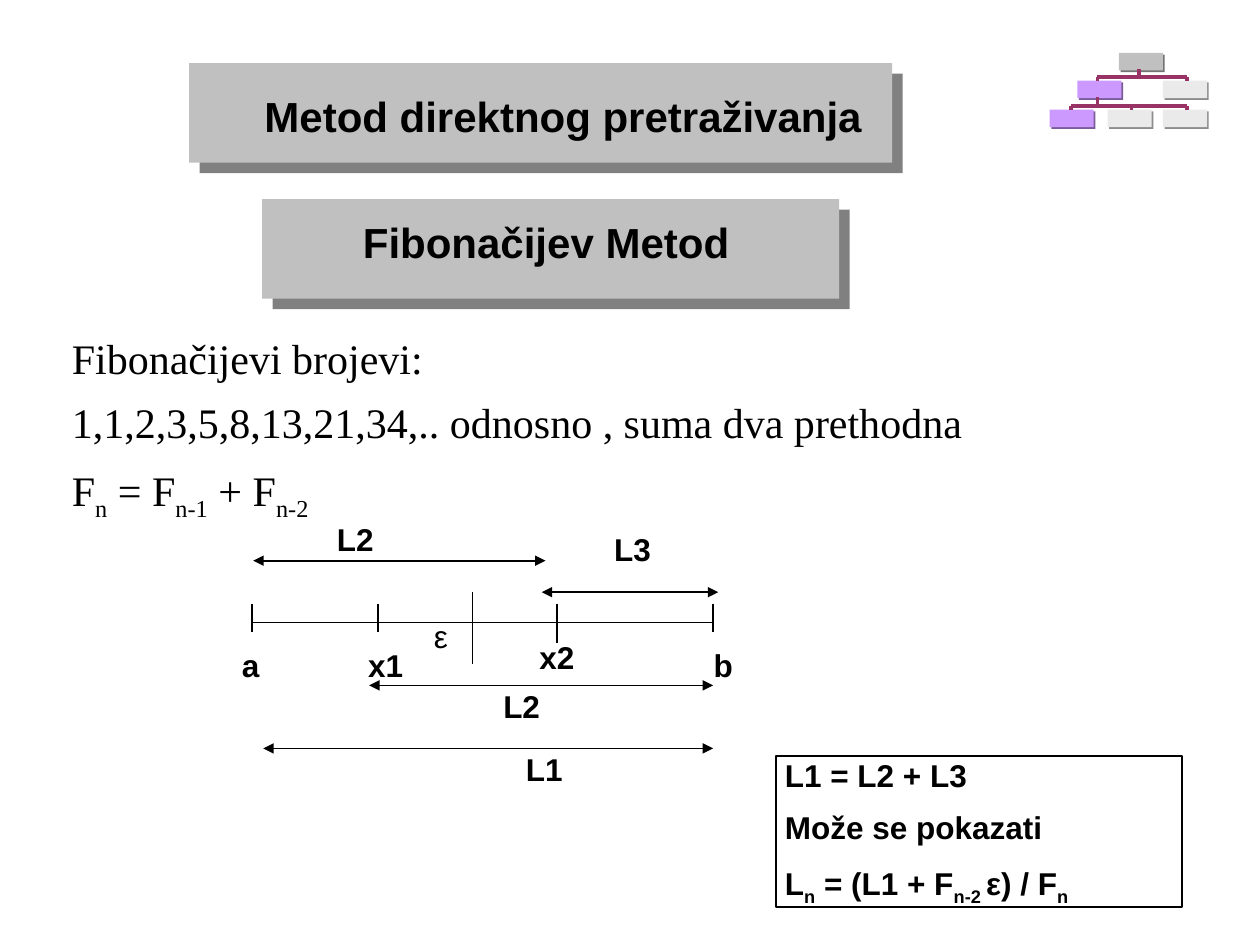
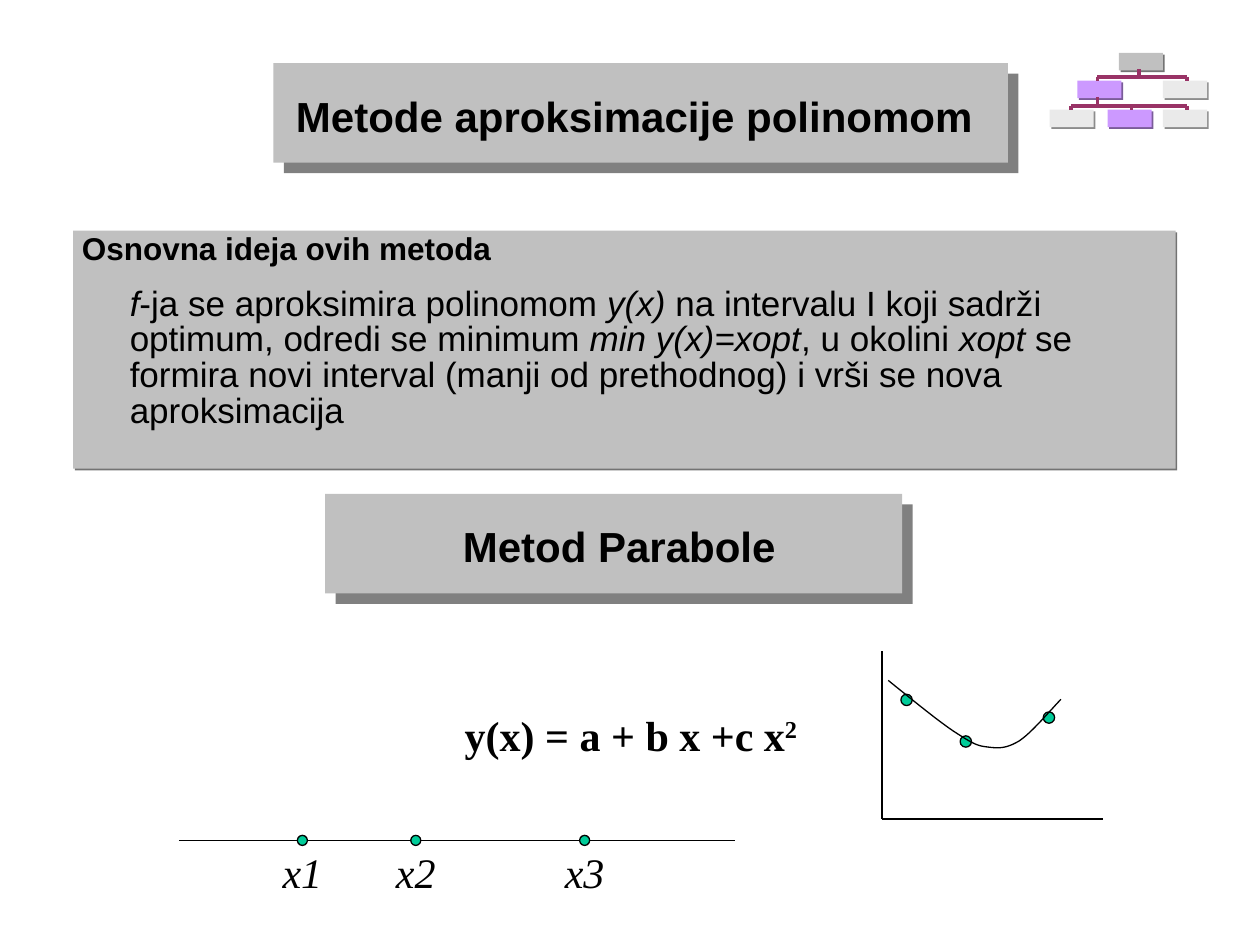
from dataclasses import dataclass
from itertools import chain
from typing import Optional

from lxml.etree import SubElement
from pptx import Presentation
from pptx.dml.color import RGBColor
from pptx.enum.shapes import MSO_CONNECTOR, MSO_SHAPE
from pptx.enum.text import MSO_ANCHOR, PP_ALIGN
from pptx.oxml.ns import qn
from pptx.util import Emu, Pt

PX = 9144  # one px is a hundredth of an inch
COLORS = {
    "ink": "000000",
    "band": "C0C0C0",
    "band_shadow": "808080",
    "panel_shadow": "737373",
    "active": "CC99FF",
    "active_shadow": "7A5C99",
    "idle": "EAEAEA",
    "idle_shadow": "8C8C8C",
    "branch": "993366",
    "dot": "00CC99",
}
SANS, SERIF = "Arial", "Times New Roman"
LEFT, CENTER = PP_ALIGN.LEFT, PP_ALIGN.CENTER
WIDE_INSETS, TIGHT_INSETS = (10, 5), (7, 3)


@dataclass(frozen=True)
class Box:
    left: int
    top: int
    width: int
    height: int


@dataclass(frozen=True)
class Style:
    size: int
    font: str = SANS
    bold: bool = False
    italic: bool = False
    align: PP_ALIGN = LEFT
    spacing: float = 1.0
    before: float = 0
    indent: int = 0


@dataclass(frozen=True)
class Span:
    text: str
    baseline: int = 0
    italic: Optional[bool] = None


@dataclass(frozen=True)
class Para:
    spans: tuple[Span, ...]
    style: Style


@dataclass(frozen=True)
class Title:
    text: str
    band: Box
    text_box: Box
    align: PP_ALIGN = LEFT


@dataclass(frozen=True)
class Label:
    text: str
    center: int
    top: int
    bold: bool = True


@dataclass(frozen=True)
class Branch:
    stem: int
    top: int
    bar: int
    bottom: int
    children: tuple[int, ...]


@dataclass(frozen=True)
class Segment:
    start: tuple[int, int]
    end: tuple[int, int]


TREE_NODES = ((888, 42), (855, 64), (923, 64), (833, 87), (879, 87), (923, 87))
TREE_BRANCHES = (
    Branch(904, 55, 61, 64, (871, 942)),
    Branch(871, 77, 84, 87, (850, 898, 942)),
)

SEARCH_TITLES = (
    Title("Metod direktnog pretraživanja", Box(150, 50, 558, 79), Box(200, 67, 525, 50)),
    Title("Fibonačijev Metod", Box(208, 158, 458, 79), Box(225, 167, 417, 50), CENTER),
)
POLYNOMIAL_TITLES = (
    Title("Metode aproksimacije polinomom", Box(217, 50, 583, 79), Box(225, 67, 592, 50)),
    Title("Metod Parabole", Box(258, 392, 458, 79), Box(283, 408, 417, 50), CENTER),
)

INTERVAL_AXIS = Segment((201, 494), (566, 494))
INTERVAL_TICKS = ((200, 479, 502), (300, 479, 502), (375, 470, 527),
                  (442, 479, 510), (566, 479, 502))
INTERVAL_SPANS = (
    Segment((430, 470), (570, 470)),
    Segment((209, 594), (566, 594)),
    Segment((201, 445), (433, 445)),
    Segment((293, 544), (566, 544)),
)
INTERVAL_LABELS = (
    Label("a", 199, 514), Label("x1", 306, 514), Label("x2", 442, 508),
    Label("b", 574, 514), Label("L2", 282, 414), Label("L3", 502, 422),
    Label("L2", 414, 547), Label("L1", 432, 597), Label("ε", 350, 491, bold=False),
)

CURVE_START = (705, 540)
CURVE_ARCS = (
    ((726, 557), (748, 575), (761, 583)),
    ((775, 592), (777, 592), (785, 593)),
    ((793, 594), (799, 594), (809, 588)),
    ((818, 582), (830, 568), (842, 555)),
)
CURVE_DOTS = ((719, 555), (766, 588), (832, 569))
POINT_LINE_Y = 667
POINTS = (("x1", 240), ("x2", 330), ("x3", 464))


def rgb(name: str) -> RGBColor:
    return RGBColor.from_string(COLORS[name])


def place(box: Box) -> tuple[Emu, ...]:
    return tuple(Emu(n * PX) for n in (box.left, box.top, box.width, box.height))


def add_shape(shapes, kind: MSO_SHAPE, box: Box, fill: Optional[str] = None,
              line: Optional[float] = None):
    shape = shapes.add_shape(kind, *place(box))
    shape.shadow.inherit = False
    if fill:
        shape.fill.solid()
        shape.fill.fore_color.rgb = rgb(fill)
    else:
        shape.fill.background()
    if line:
        shape.line.color.rgb = rgb("ink")
        shape.line.width = Pt(line)
    else:
        shape.line.fill.background()
    return shape


def add_shadowed_box(shapes, box: Box, fill: str, shadow: str, distance: float):
    """Draw a rectangle with a hard shadow to the lower right."""
    shape = add_shape(shapes, MSO_SHAPE.RECTANGLE, box, fill)
    effects = shape._element.spPr.find(qn("a:effectLst"))
    outer = SubElement(effects, qn("a:outerShdw"), blurRad="0", dist=str(int(Pt(distance))),
                       dir="2700000", algn="ctr", rotWithShape="0")
    SubElement(outer, qn("a:srgbClr"), val=COLORS[shadow])
    return shape


def add_line(shapes, segment: Segment, width: float = 1, color: str = "ink",
             arrows: bool = False) -> None:
    ends = (Emu(n * PX) for n in chain(segment.start, segment.end))
    connector = shapes.add_connector(MSO_CONNECTOR.STRAIGHT, *ends)
    connector.line.color.rgb = rgb(color)
    connector.line.width = Pt(width)
    if arrows:
        for tag in ("a:headEnd", "a:tailEnd"):
            SubElement(connector.line._get_or_add_ln(), qn(tag), type="triangle")
    SubElement(connector._element.spPr, qn("a:effectLst"))


def write(shape, paras: list[Para], insets: tuple[int, int], wrap: bool = True) -> None:
    frame = shape.text_frame
    frame.word_wrap = wrap
    frame.vertical_anchor = MSO_ANCHOR.TOP
    frame.margin_left = frame.margin_right = Emu(insets[0] * PX)
    frame.margin_top = frame.margin_bottom = Emu(insets[1] * PX)
    for index, para in enumerate(paras):
        style = para.style
        paragraph = frame.add_paragraph() if index else frame.paragraphs[0]
        paragraph.alignment = style.align
        paragraph.line_spacing = style.spacing
        paragraph.space_before = Pt(style.before)
        if style.indent:
            paragraph._p.get_or_add_pPr().set("marL", str(style.indent * PX))
        for span in para.spans:
            run = paragraph.add_run()
            run.text = span.text
            run.font.name = style.font
            run.font.size = Pt(style.size)
            run.font.bold = style.bold
            run.font.italic = style.italic if span.italic is None else span.italic
            run.font.color.rgb = rgb("ink")
            if span.baseline:
                run._r.get_or_add_rPr().set("baseline", str(span.baseline * 1000))


def add_text(shapes, box: Box, paras: list[Para], insets: tuple[int, int] = WIDE_INSETS,
             wrap: bool = True) -> None:
    write(shapes.add_textbox(*place(box)), paras, insets, wrap)


def plain(text: str, style: Style) -> Para:
    return Para((Span(text),), style)


def indexed(style: Style, *texts: str) -> Para:
    """Alternate normal and subscript spans."""
    return Para(tuple(Span(text, -25 * (i % 2)) for i, text in enumerate(texts)), style)


def add_title(shapes, title: Title) -> None:
    add_shadowed_box(shapes, title.band, "band", "band_shadow", 8.5)
    style = Style(24, bold=True, align=title.align, before=15)
    add_text(shapes, title.text_box, [plain(title.text, style)])


def add_tree(page, active: set[int]) -> None:
    """Draw the small method tree, with the active nodes highlighted."""
    shapes = page.shapes.add_group_shape().shapes
    for index, (left, top) in enumerate(TREE_NODES):
        fill, shadow = "idle", "idle_shadow"
        if index == 0:
            fill, shadow = "band", "panel_shadow"
        elif index in active:
            fill, shadow = "active", "active_shadow"
        add_shadowed_box(shapes, Box(left, top, 35, 14), fill, shadow, 1.4)
    for branch in TREE_BRANCHES:
        bar = Segment((branch.children[0], branch.bar), (branch.children[-1], branch.bar))
        stem = Segment((branch.stem, branch.top), (branch.stem, branch.bar))
        drops = (Segment((x, branch.bar), (x, branch.bottom)) for x in branch.children)
        for segment in (bar, stem, *drops):
            add_line(shapes, segment, 2, "branch")


def add_dot(shapes, x: int, y: int, size: int) -> None:
    box = Box(x - size // 2, y - size // 2, size, size)
    add_shape(shapes, MSO_SHAPE.OVAL, box, "dot", 0.75)


def curve_points(steps: int = 10) -> list[tuple[int, int]]:
    """Return points along the cubic arcs, in EMU."""
    points, start = [], CURVE_START
    for first, second, end in CURVE_ARCS:
        for t in (step / steps for step in range(1, steps + 1)):
            u = 1 - t
            points.append(tuple(
                round(PX * (u**3 * a + 3 * u * u * t * b + 3 * u * t * t * c + t**3 * d))
                for a, b, c, d in zip(start, first, second, end)))
        start = end
    return points


def add_parabola(page) -> None:
    shapes = page.shapes.add_group_shape().shapes
    add_line(shapes, Segment((700, 517), (700, 650)), 0.75)
    add_line(shapes, Segment((700, 650), (875, 650)), 0.75)
    for x, y in CURVE_DOTS:
        add_dot(shapes, x, y, 9)
    builder = shapes.build_freeform(*(n * PX for n in CURVE_START))
    builder.add_line_segments(curve_points(), close=False)
    curve = builder.convert_to_shape()
    curve.shadow.inherit = False
    curve.fill.background()
    curve.line.color.rgb = rgb("ink")
    curve.line.width = Pt(0.75)


def add_interval(shapes) -> None:
    add_line(shapes, INTERVAL_AXIS)
    for x, top, bottom in INTERVAL_TICKS:
        add_line(shapes, Segment((x, top), (x, bottom)))
    for segment in INTERVAL_SPANS:
        add_line(shapes, segment, arrows=True)
    for label in INTERVAL_LABELS:
        style = Style(18, bold=label.bold, align=CENTER, spacing=0.85)
        add_text(shapes, Box(label.center - 22, label.top, 44, 31),
                 [plain(label.text, style)], TIGHT_INSETS, wrap=False)


def build_search_page(page) -> None:
    shapes = page.shapes
    add_tree(page, {1, 3})
    for title in SEARCH_TITLES:
        add_title(shapes, title)
    body = Style(24, SERIF, spacing=0.85, before=12)
    add_text(shapes, Box(50, 267, 892, 146), [
        plain("Fibonačijevi brojevi:", body),
        plain("1,1,2,3,5,8,13,21,34,.. odnosno , suma dva prethodna", body),
        indexed(body, "F", "n", " = F", "n-1", " + F", "n-2"),
    ], TIGHT_INSETS)
    add_interval(shapes)
    result = Style(18, bold=True, spacing=0.91, before=10.3)
    frame = add_shape(shapes, MSO_SHAPE.RECTANGLE, Box(616, 600, 322, 120), line=1)
    write(frame, [
        plain("L1 = L2 + L3", result),
        plain("Može se pokazati", result),
        indexed(result, "L", "n", " = (L1 + F", "n-2 ", "ε) / F", "n"),
    ], TIGHT_INSETS)


def build_polynomial_page(page) -> None:
    shapes = page.shapes
    add_tree(page, {1, 4})
    for title in POLYNOMIAL_TITLES:
        add_title(shapes, title)
    idea = ("f", "-ja se aproksimira polinomom ", "y(x)",
            " na intervalu I koji sadrži optimum, odredi se minimum ", "min y(x)=xopt",
            ", u okolini ", "xopt ",
            "se formira novi interval (manji od prethodnog) i vrši se nova aproksimacija")
    spans = tuple(Span(text, italic=i % 2 == 0) for i, text in enumerate(idea))
    panel = add_shadowed_box(shapes, Box(58, 183, 875, 189), "band", "panel_shadow", 1.4)
    write(panel, [
        plain("Osnovna ideja ovih metoda", Style(18, bold=True, spacing=0.85, before=9)),
        Para(spans, Style(20, spacing=0.85, before=12, indent=38)),
    ], TIGHT_INSETS)
    add_parabola(page)
    formula = (Span("y(x) = a + b x +c x"), Span("2", baseline=30))
    add_text(shapes, Box(359, 558, 284, 50),
             [Para(formula, Style(24, SERIF, bold=True, before=15))], wrap=False)
    add_line(shapes, Segment((142, POINT_LINE_Y), (583, POINT_LINE_Y)), 0.75)
    for name, x in POINTS:
        add_dot(shapes, x, POINT_LINE_Y, 8)
        add_text(shapes, Box(x - 30, POINT_LINE_Y, 60, 50),
                 [plain(name, Style(24, SERIF, italic=True, align=CENTER))])


def main() -> None:
    deck = Presentation()
    deck.slide_width, deck.slide_height = Emu(1000 * PX), Emu(750 * PX)
    for build in (build_search_page, build_polynomial_page):
        build(deck.slides.add_slide(deck.slide_layouts[6]))
    deck.save("out.pptx")


if __name__ == "__main__":
    main()
